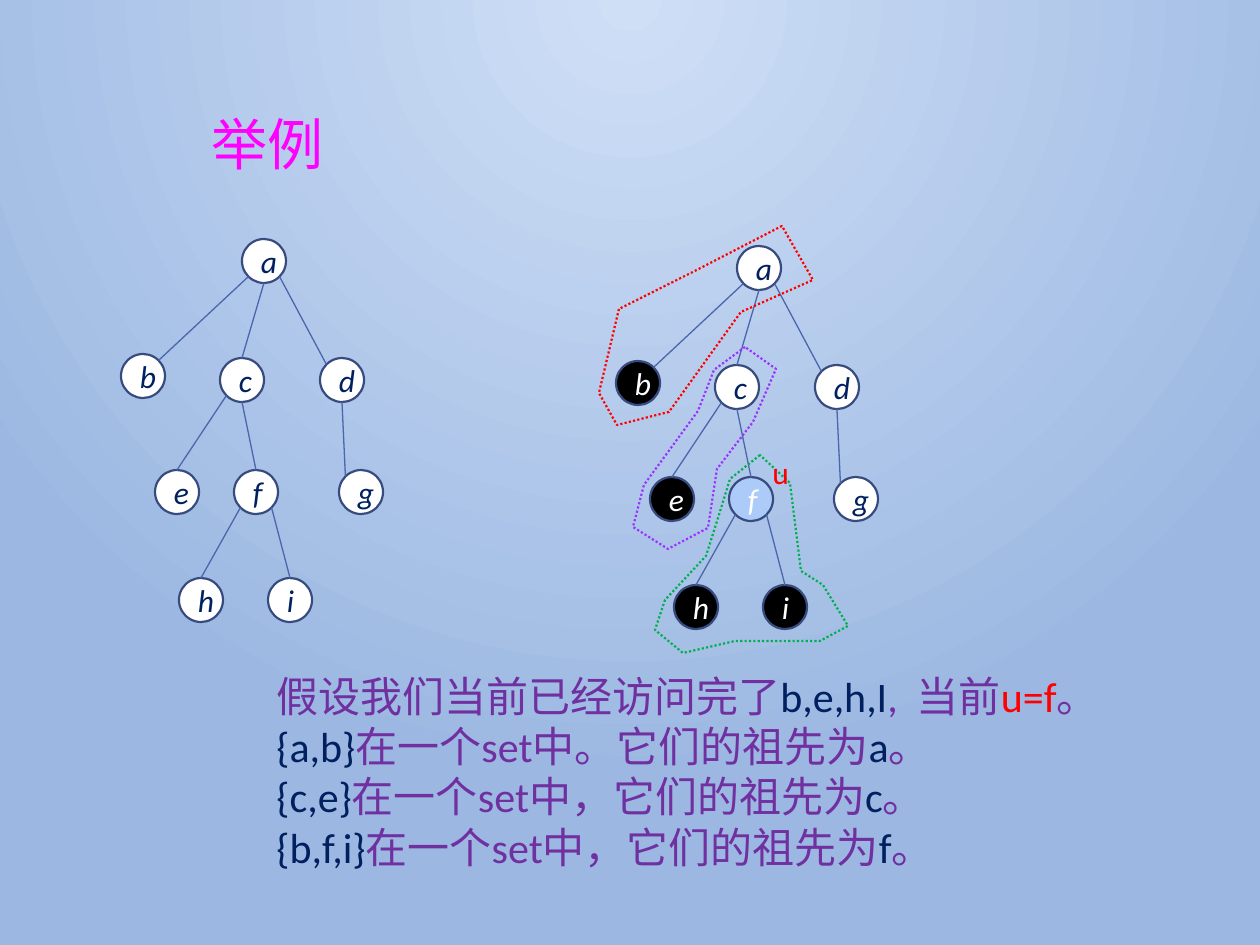
import math

import pptx
import pptx.dml.color
import pptx.enum.dml
import pptx.enum.shapes
import pptx.enum.text
import pptx.oxml.ns
import pptx.util
from lxml import etree

COLORS = {
    "glow": "CFDFF6", "sky": "9CB8E2", "magenta": "FF00FF", "navy": "002060",
    "white": "FFFFFF", "black": "000000", "light": "ACCBF9", "rim": "374B7F",
    "edge": "4A66AC", "purple": "7030A0", "red": "FF0000", "violet": "9933FF",
    "green": "00B050",
}
LATIN, CJK = "Calibri", "Noto Sans CJK SC"
SCALE = 914400 / 126
DIAMETER = 44

NODES = {
    "a": (264, 261), "b": (143, 376), "c": (242, 380), "d": (342, 380),
    "e": (177, 492), "f": (256, 492), "g": (361, 492), "h": (201, 600),
    "i": (290, 600),
}
EDGES = [
    ("b", 45, "a", 225), ("c", 90, "a", 270), ("d", 135, "a", 315),
    ("g", 135, "d", 270), ("e", 90, "c", 225), ("f", 90, "c", 270),
    ("h", 90, "f", 225), ("i", 90, "f", 315),
]
VISITED = dict.fromkeys("behi", "black")
TREES = [((0, 0), {}), ((495, 7), {**VISITED, "f": "light"})]

SETS = [
    ("red", [(619, 309), (599, 393), (617, 425), (669, 412), (741, 312),
             (813, 280), (782, 226), (693, 272)]),
    ("violet", [(745, 347), (714, 370), (698, 411), (644, 485), (633, 527),
                (668, 549), (708, 528), (717, 469), (753, 422), (776, 369)]),
    ("green", [(760, 455), (730, 479), (718, 518), (706, 556), (665, 600),
               (655, 630), (683, 653), (735, 641), (784, 641), (820, 641),
               (848, 626), (823, 585), (801, 571), (790, 483)]),
]

TITLE = [[("举例", "magenta")]]
MARK = [[("u", "red")]]
EXPLANATION = [
    [("假设我们当前已经访问完了", "purple"), ("b,e,h,I", "navy"),
     (",  当前", "purple"), ("u=f", "red"), ("。", "purple")],
] + [
    [(members, "navy"), (middle, "purple"), (ancestor, "navy"), ("。", "purple")]
    for members, middle, ancestor in [
        ("{a,b}", "在一个set中。它们的祖先为", "a"),
        ("{c,e}", "在一个set中，它们的祖先为", "c"),
        ("{b,f,i}", "在一个set中，它们的祖先为", "f"),
    ]
]


def px(value):
    return pptx.util.Emu(round(value * SCALE))


def rgb(name):
    return pptx.dml.color.RGBColor.from_string(COLORS[name])


def add_span(para, text, color, size, latin=LATIN, italic=None):
    span = para.add_run()
    span.text = text
    span.font.size = pptx.util.Pt(size)
    span.font.name = latin
    span.font.italic = italic
    span.font.color.rgb = rgb(color)
    east = etree.SubElement(span.font._element, pptx.oxml.ns.qn("a:ea"))
    east.set("typeface", CJK)


def add_text(page, place, paragraphs, size, latin=LATIN, wrap=True, spacing=None):
    box = page.shapes.add_textbox(*map(px, place))
    frame = box.text_frame
    frame.word_wrap = wrap
    for index, spans in enumerate(paragraphs):
        para = frame.add_paragraph() if index else frame.paragraphs[0]
        para.line_spacing = spacing
        for text, color in spans:
            add_span(para, text, color, size, latin)


def paint_background(page):
    fill = page.background.fill
    fill.gradient()
    for stop, name in zip(fill.gradient_stops, ("glow", "sky")):
        stop.color.rgb = rgb(name)
    qn = pptx.oxml.ns.qn
    gradient = next(page.element.iter(qn("a:gradFill")))
    gradient.remove(gradient.find(qn("a:lin")))
    circle = etree.SubElement(gradient, qn("a:path"), {"path": "circle"})
    etree.SubElement(circle, qn("a:fillToRect"),
                     {"l": "43000", "t": "0", "r": "43000", "b": "100000"})


def rim_point(center, degrees):
    angle = math.radians(degrees)
    return (center[0] + DIAMETER / 2 * math.cos(angle),
            center[1] - DIAMETER / 2 * math.sin(angle))


def add_node(page, label, center, fill):
    left, top = (value - DIAMETER / 2 for value in center)
    node = page.shapes.add_shape(pptx.enum.shapes.MSO_SHAPE.OVAL, px(left), px(top),
                                 px(DIAMETER), px(DIAMETER))
    node.shadow.inherit = False
    node.fill.solid()
    node.fill.fore_color.rgb = rgb(fill)
    node.line.color.rgb = rgb("rim")
    node.line.width = pptx.util.Pt(1.25)
    node.text_frame.vertical_anchor = pptx.enum.text.MSO_ANCHOR.MIDDLE
    para = node.text_frame.paragraphs[0]
    para.alignment = pptx.enum.text.PP_ALIGN.CENTER
    add_span(para, label, "navy" if fill == "white" else "white", 18, italic=True)


def add_edge(page, start, end):
    edge = page.shapes.add_connector(pptx.enum.shapes.MSO_CONNECTOR.STRAIGHT,
                                     *map(px, (*start, *end)))
    edge.line.color.rgb = rgb("edge")
    edge.line.width = pptx.util.Pt(0.75)
    etree.SubElement(edge._element.spPr, pptx.oxml.ns.qn("a:effectLst"))


def add_tree(page, offset, fills):
    centers = {label: (x + offset[0], y + offset[1]) for label, (x, y) in NODES.items()}
    for label, center in centers.items():
        add_node(page, label, center, fills.get(label, "white"))
    for child, child_angle, parent, parent_angle in EDGES:
        add_edge(page, rim_point(centers[child], child_angle),
                 rim_point(centers[parent], parent_angle))


def add_outline(page, color, points):
    builder = page.shapes.build_freeform(*points[0], scale=SCALE)
    builder.add_line_segments(points[1:], close=True)
    outline = builder.convert_to_shape()
    outline.shadow.inherit = False
    outline.fill.background()
    outline.line.color.rgb = rgb(color)
    outline.line.width = pptx.util.Pt(1.25)
    outline.line.dash_style = pptx.enum.dml.MSO_LINE.ROUND_DOT


def main():
    deck = pptx.Presentation()
    deck.slide_width, deck.slide_height = px(1260), px(945)
    page = deck.slides.add_slide(deck.slide_layouts[6])
    paint_background(page)
    add_text(page, (199, 111, 906, 145), TITLE, 32, latin=CJK, spacing=0.9)
    for offset, fills in TREES:
        add_tree(page, offset, fills)
    add_text(page, (264, 664, 866, 217), EXPLANATION, 24)
    for color, points in SETS:
        add_outline(page, color, points)
    add_text(page, (760, 447, 42, 50), MARK, 18, wrap=False)
    deck.save("out.pptx")


if __name__ == "__main__":
    main()
